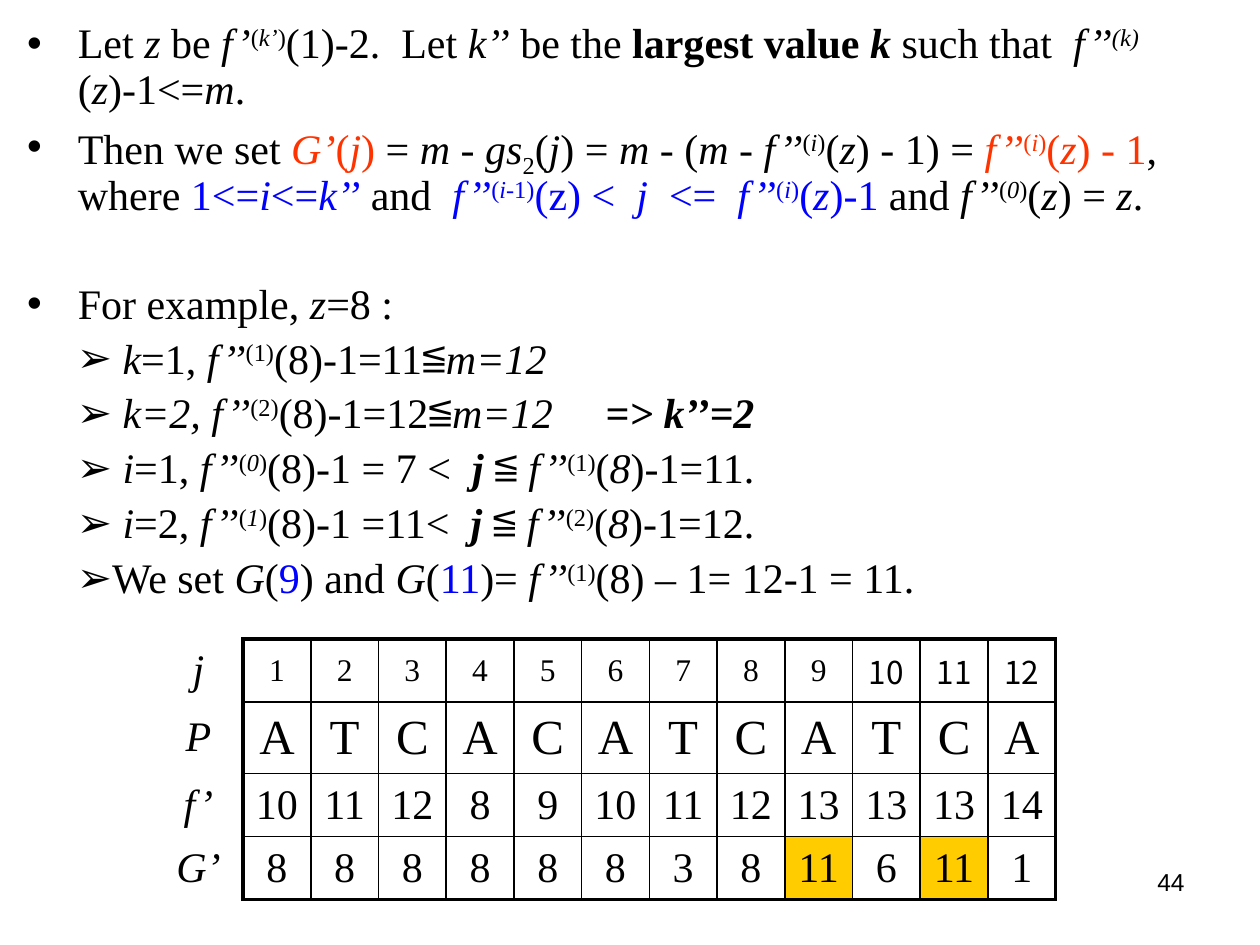
from itertools import product

from lxml import etree
from pptx import Presentation
from pptx.dml import color
from pptx.enum import text
from pptx.oxml import ns
from pptx.util import Cm, Pt

COLORS = {"black": "000000", "red": "FF3300", "blue": "0000FF", "gold": "FFCC00"}
SERIF, SANS, CJK = "Times New Roman", "Arial", "Noto Sans CJK TC"

# Inline marks: * italic, ! bold, ^ superscript, _ subscript, ~ red, | blue, @ wide gap
MARKS = "*!^_~|"
POINTS = [
    "Let *z* be *f’*^(*k’*)^(1)-2.  Let *k’’* be the !largest value *k*! such that  "
    "*f’’*^*(k)*^(*z*)-1<=*m*.",
    "Then we set ~*G’*(*j*)~ = *m *- *gs*_2_(*j*) = *m *- (*m - f’’*^(*i*)^(*z*) - 1) = "
    "~*f’’*^(*i*)^(*z*) - 1~, where |1<=*i*<=*k’’*| and  |*f’’*^(*i*-1)^(z) <  *j  *<=  "
    "*f’’*^(*i*)^(*z*)-1| and *f’’*^(*0*)^(*z*) = *z*.",
    "For example, *z*=8 :",
]
STEPS = [
    "* k*=1, *f’’*^(1)^(8)-1=11≦*m=12*",
    "* k=2, f’’*^(2)^(8)-1=12≦*m=12@!=> k’’=2!*",
    " *i*=1, *f’’*^(*0*)^(8)-1 = 7 <  *!j !*≦ *f’’*^(1)^(*8*)-1=11.",
    " *i*=2, *f’’*^(*1*)^(8)-1 =11<  *!j !*≦ *f’’*^(2)^(*8*)-1=12.",
    "We set *G*(|9|) and *G*(|11|)= *f’’*^(1)^(8) – 1= 12-1 = 11.",
]

# Label, text size and values of each table row
TABLE_ROWS = [
    ("j", 18, list(range(1, 13))),
    ("P", 28, list("ATCACATCATCA")),
    ("f’", 24, [10, 11, 12, 8, 9, 10, 11, 12, 13, 13, 13, 14]),
    ("G’", 24, [8, 8, 8, 8, 8, 8, 3, 8, 11, 6, 11, 1]),
]
ROW_HEIGHTS = [1.27, 1.44, 1.27, 1.27]
HIGHLIGHTS = {(3, 9), (3, 11)}


def rgb(name):
    return color.RGBColor.from_string(COLORS[name])


def set_font(font, name, size):
    font.name, font.size = name, Pt(size)
    font.color.rgb = rgb("black")


def add_run(paragraph, words, active):
    run = paragraph.add_run()
    run.text = words
    if "*" in active:
        run.font.italic = True
    if "!" in active:
        run.font.bold = True
    for mark, name in (("~", "red"), ("|", "blue")):
        if mark in active:
            run.font.color.rgb = rgb(name)
    for mark, baseline in (("^", "30000"), ("_", "-25000")):
        if mark in active:
            run._r.get_or_add_rPr().set("baseline", baseline)
    return run


def add_marked_text(paragraph, marked):
    active, words = set(), ""
    for letter in marked:
        if letter not in MARKS + "@":
            words += letter
            continue
        if words:
            add_run(paragraph, words, active)
            words = ""
        if letter == "@":
            gap = add_run(paragraph, " ", active)
            gap._r.get_or_add_rPr().set("spc", "2400")
        else:
            active ^= {letter}
    if words:
        add_run(paragraph, words, active)


def format_bullet(paragraph, character, margin, hanging, level):
    paragraph.level = level
    properties = paragraph._p.get_or_add_pPr()
    properties.set("marL", str(Cm(margin)))
    properties.set("indent", str(-Cm(hanging)))
    etree.SubElement(properties, ns.qn("a:buFont")).set("typeface", SANS)
    etree.SubElement(properties, ns.qn("a:buChar")).set("char", character)
    set_font(paragraph.font, SERIF, 24)


def add_text_box(slide, left, top, width, height):
    frame = slide.shapes.add_textbox(Cm(left), Cm(top), Cm(width), Cm(height)).text_frame
    frame.word_wrap = True
    return frame


def add_explanation(slide, left, top, width, height):
    frame = add_text_box(slide, left, top, width, height)
    items = [(point, "•", 1.02, 1.02, 0) for point in POINTS]
    items += [(step, "➢", 1.5, 0.5, 1) for step in STEPS]
    for index, (marked, *bullet) in enumerate(items):
        paragraph = frame.add_paragraph() if index else frame.paragraphs[0]
        format_bullet(paragraph, *bullet)
        paragraph.line_spacing = 0.9
        if index:
            # The example stands one line apart from the definitions
            paragraph.space_before = Pt(36 if marked == POINTS[-1] else 5.5)
        add_marked_text(paragraph, marked)


def set_borders(cell, widths):
    """Draw the left, right, top and bottom borders; width 0 means none."""
    properties = cell._tc.get_or_add_tcPr()
    for index, (side, width) in enumerate(zip("LRTB", widths)):
        line = etree.Element(ns.qn(f"a:ln{side}"), w=str(Pt(width)))
        if width:
            fill = etree.SubElement(line, ns.qn("a:solidFill"))
            etree.SubElement(fill, ns.qn("a:srgbClr"), val=COLORS["black"])
        else:
            etree.SubElement(line, ns.qn("a:noFill"))
        properties.insert(index, line)


def add_function_table(slide, left, top, width, label_width):
    row_count, column_count = len(TABLE_ROWS), len(TABLE_ROWS[0][2]) + 1
    table = slide.shapes.add_table(row_count, column_count, Cm(left), Cm(top),
                                   Cm(width), Cm(sum(ROW_HEIGHTS))).table
    table.first_row = table.horz_banding = False
    for row, height in zip(table.rows, ROW_HEIGHTS):
        row.height = Cm(height)
    for index, column in enumerate(table.columns):
        value_width = (width - label_width) / (column_count - 1)
        column.width = Cm(value_width if index else label_width)

    for r, c in product(range(row_count), range(column_count)):
        label, size, values = TABLE_ROWS[r]
        cell = table.cell(r, c)
        cell.vertical_anchor = text.MSO_ANCHOR.MIDDLE
        cell.margin_left = cell.margin_right = Cm(0.1)
        cell.text = str(values[c - 1]) if c else label
        paragraph = cell.text_frame.paragraphs[0]
        paragraph.alignment = text.PP_ALIGN.CENTER
        set_font(paragraph.font, CJK if r == 0 and c > 9 else SERIF, size if c else 24)
        paragraph.font.italic = c == 0
        if (r, c) in HIGHLIGHTS:
            cell.fill.solid()
            cell.fill.fore_color.rgb = rgb("gold")
        else:
            cell.fill.background()
        # Heavy frame around the values, thin lines inside, none around the labels
        if c == 0:
            set_borders(cell, (0, 2.25, 0, 0))
        else:
            at_edge = (c == 1, c == column_count - 1, r == 0, r == row_count - 1)
            set_borders(cell, [2.25 if edge else 1 for edge in at_edge])


def add_page_number(slide, left, top, width, height):
    paragraph = add_text_box(slide, left, top, width, height).paragraphs[0]
    paragraph.alignment = text.PP_ALIGN.RIGHT
    set_font(paragraph.font, SANS, 14)
    paragraph.add_run().text = "44"


def main():
    presentation = Presentation()
    presentation.slide_width, presentation.slide_height = Cm(25.4), Cm(19.05)
    slide = presentation.slides.add_slide(presentation.slide_layouts[6])
    add_page_number(slide, 18.21, 17.35, 5.92, 1.32)
    add_explanation(slide, 0.3, 0.33, 24.71, 13.03)
    add_function_table(slide, 3.1, 12.88, 18.19, 1.8)
    presentation.save("out.pptx")


if __name__ == "__main__":
    main()
